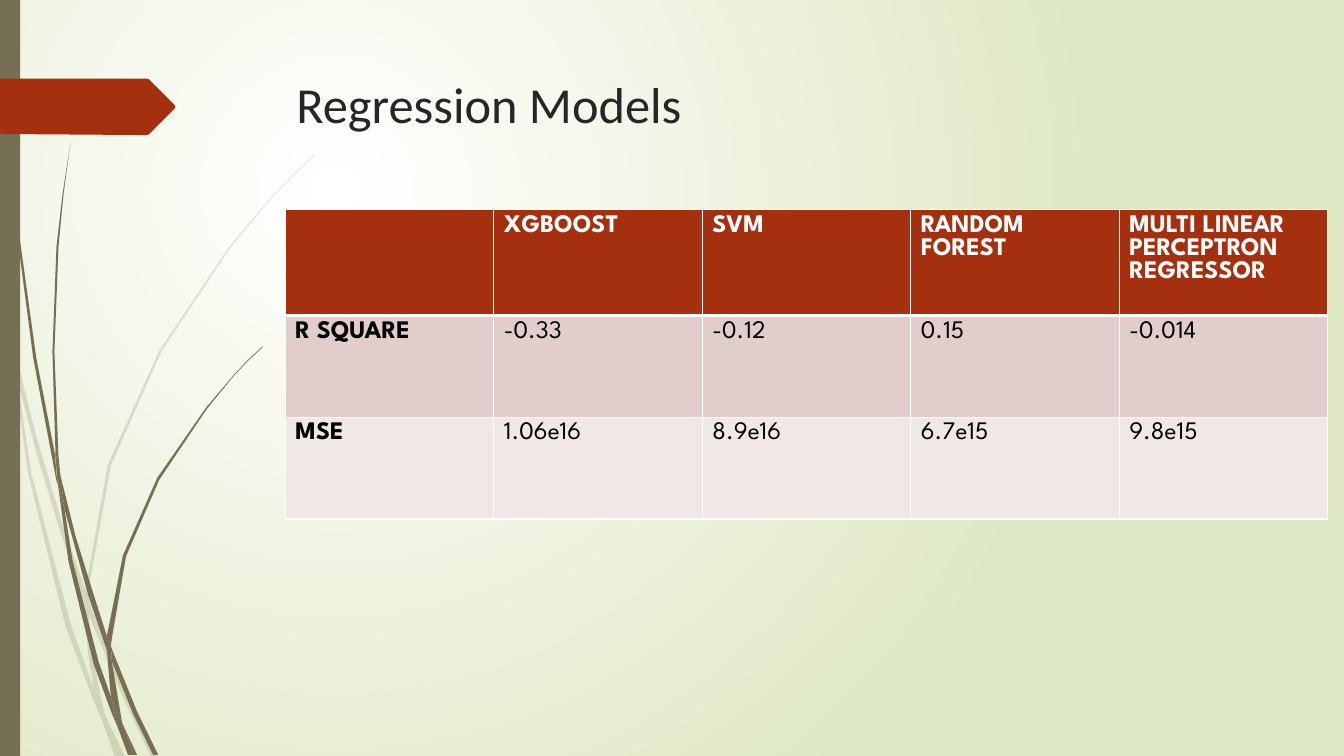
import lxml.etree
import pptx
import pptx.dml.color
import pptx.enum.shapes
import pptx.enum.text
import pptx.oxml.ns
import pptx.util

UNIT = 9144  # every length is counted on a grid of 0.01 inch
WIDTH, HEIGHT = 1333, 750
COLORS = {
    "stem": "766F54", "accent": "A53010", "title": "262626",
    "white": "FFFFFF", "meadow": "DFE8C4", "black": "000000",
    "band_dark": "E1CDCC", "band_light": "F0E8E7",
}
MODELS = ["", "XGBOOST", "SVM", "RANDOM FOREST", "MULTI LINEAR PERCEPTRON REGRESSOR"]
SCORES = [
    ["R SQUARE", "-0.33", "-0.12", "0.15", "-0.014"],
    ["MSE", "1.06e16", "8.9e16", "6.7e15", "9.8e15"],
]
ROW_HEIGHTS = [105, 101, 101]
ROW_FILLS = ["accent", "band_dark", "band_light"]

PALE_GRASS = [
    [(11, 350), (9, 322), (0, 282), (0, 299), (10, 344)],
    [(58, 522), (84, 599), (85, 586), (62, 520), (36, 433), (14, 345), (17, 376), (36, 449)],
    [(92, 607), (88, 596), (88, 610), (123, 694), (150, 751), (155, 751), (127, 692)],
    [(119, 751), (124, 751), (105, 711)],
    [(93, 683), (70, 619), (31, 469), (17, 376), (11, 350), (28, 470), (65, 621),
     (92, 693), (101, 714), (99, 707)],
    [(84, 599), (87, 646), (93, 683), (96, 692), (105, 711), (103, 706), (91, 646),
     (88, 610), (88, 608)],
    [(88, 584), (110, 462), (160, 349), (229, 245), (268, 198), (290, 175), (312, 154),
     (312, 153), (289, 175), (268, 197), (228, 244), (158, 348), (107, 461), (85, 584),
     (85, 586), (88, 596)],
    [(101, 714), (114, 751), (119, 751)],
    [(88, 608), (88, 610), (88, 596), (85, 586), (84, 599)],
    [(96, 692), (93, 683), (99, 707), (101, 714), (119, 751), (105, 711)],
]
DARK_GRASS = [
    [(7, 110), (17, 233), (33, 355), (56, 477), (57, 481), (55, 457), (55, 453),
     (36, 355), (19, 232), (8, 109), (5, 48), (4, 0), (3, 0), (4, 48)],
    [(88, 592), (106, 645), (106, 633), (106, 631), (93, 590), (75, 532), (60, 472), (64, 505)],
    [(113, 649), (110, 641), (111, 656), (132, 708), (152, 749), (157, 749), (136, 706)],
    [(110, 691), (98, 657), (72, 556), (64, 505), (57, 477), (68, 557), (93, 659),
     (111, 708), (117, 722), (116, 717)],
    [(60, 472), (58, 453), (54, 349), (58, 245), (63, 193), (70, 141), (62, 193),
     (56, 245), (52, 349), (55, 449)],
    [(133, 749), (136, 749), (122, 719)],
    [(57, 477), (64, 505), (60, 472), (55, 449), (55, 453)],
    [(111, 633), (125, 552), (158, 476), (205, 406), (231, 374), (245, 359), (261, 344),
     (260, 344), (245, 358), (231, 373), (204, 405), (156, 474), (122, 551), (106, 631),
     (110, 641)],
    [(117, 722), (127, 749), (131, 749)],
    [(106, 645), (110, 691), (116, 706), (122, 719), (121, 716), (111, 656), (109, 651)],
    [(106, 645), (109, 651), (111, 656), (110, 641), (106, 631), (106, 633)],
    [(116, 706), (110, 691), (116, 717), (117, 722), (130, 749), (133, 749), (122, 719)],
]
PAGE_MARKER = [(173, 108), (148, 133), (146, 134), (136, 134), (0, 133), (0, 78),
               (146, 78), (148, 79), (173, 104), (174, 106)]


def rgb(name):
    """Return a named colour as an RGBColor."""
    return pptx.dml.color.RGBColor.from_string(COLORS[name])


def add_element(parent, tag, **attributes):
    """Append a DrawingML element to parent and return it."""
    return lxml.etree.SubElement(parent, pptx.oxml.ns.qn("a:" + tag), attributes)


def apply_format(target, values):
    """Set each attribute named in values on target."""
    for name, value in values.items():
        setattr(target, name, value)


def set_box(shape, left, top, width, height):
    """Place a shape by grid units."""
    box = {"left": left, "top": top, "width": width, "height": height}
    apply_format(shape, {side: length * UNIT for side, length in box.items()})


def paint(shape, color, opacity=100):
    """Give a shape a flat fill, without line or shadow."""
    shape.shadow.inherit = False
    shape.line.fill.background()
    shape.fill.solid()
    shape.fill.fore_color.rgb = rgb(color)
    if opacity < 100:
        for element in shape.fill._xPr.iter(pptx.oxml.ns.qn("a:srgbClr")):
            add_element(element, "alpha", val=str(opacity * 1000))


def set_background(slide):
    """Fill the background with a round glow centred in the upper left quarter."""
    fill = slide.background.fill
    fill.gradient()
    for stop, color, position in zip(fill.gradient_stops, ("white", "meadow"), (0, 1)):
        stop.color.rgb = rgb(color)
        stop.position = position
    gradient = slide.background._cSld.find(".//" + pptx.oxml.ns.qn("a:gradFill"))
    gradient.remove(gradient.find(pptx.oxml.ns.qn("a:lin")))
    glow = add_element(gradient, "path", path="circle")
    add_element(glow, "fillToRect", l="50000", t="50000", r="100000", b="100000")


def add_outline(shapes, points, color, opacity=100):
    """Draw a closed outline through grid points."""
    builder = shapes.build_freeform(*points[0], scale=UNIT)
    builder.add_line_segments(points[1:], close=True)
    paint(builder.convert_to_shape(), color, opacity)


def add_grass(slide, blades, opacity):
    """Draw a group of grass blades."""
    group = slide.shapes.add_group_shape()
    for blade in blades:
        add_outline(group.shapes, blade, "stem", opacity)


def add_side_bar(slide):
    """Draw the bar along the left edge."""
    bar = slide.shapes.add_shape(pptx.enum.shapes.MSO_SHAPE.RECTANGLE, 0, 0, 0, 0)
    set_box(bar, 0, 0, 20, HEIGHT)
    paint(bar, "stem")


def write_text(frame, text, color, **font_values):
    """Write one left-aligned paragraph with the given font."""
    frame.text = text
    paragraph = frame.paragraphs[0]
    paragraph.alignment = pptx.enum.text.PP_ALIGN.LEFT
    apply_format(paragraph.font, font_values)
    paragraph.font.color.rgb = rgb(color)
    for run in paragraph.runs:
        apply_format(run.font, font_values)
        run.font.color.rgb = rgb(color)


def add_title(slide, text):
    """Fill and place the title placeholder."""
    title = slide.shapes.title
    set_box(title, 284, 68, 975, 140)
    write_text(title.text_frame, text, "title", name="Calibri", size=pptx.util.Pt(36))
    title.text_frame.vertical_anchor = pptx.enum.text.MSO_ANCHOR.TOP


def set_borders(cell, widths):
    """Draw white cell borders; widths maps each side to points."""
    properties = cell._tc.get_or_add_tcPr()
    for index, (side, width) in enumerate(widths.items()):
        line = add_element(properties, "ln" + side, w=str(pptx.util.Pt(width)))
        add_element(add_element(line, "solidFill"), "srgbClr", val=COLORS["white"])
        properties.insert(index, line)


def add_score_table(slide):
    """Add the table of scores by model."""
    rows = [MODELS] + SCORES
    frame = slide.shapes.add_table(len(rows), len(MODELS), 0, 0, 0, 0)
    set_box(frame, 283, 208, 1034, sum(ROW_HEIGHTS))
    table = frame.table
    table.horz_banding = False
    for column in table.columns:
        column.width = 1034 * UNIT // len(MODELS)
    for row_index, texts in enumerate(rows):
        table.rows[row_index].height = ROW_HEIGHTS[row_index] * UNIT
        header = row_index == 0
        widths = {"L": 1, "R": 1, "T": 3 if row_index == 1 else 1, "B": 3 if header else 1}
        for column_index, text in enumerate(texts):
            cell = table.cell(row_index, column_index)
            cell.fill.solid()
            cell.fill.fore_color.rgb = rgb(ROW_FILLS[row_index])
            set_borders(cell, widths)
            write_text(cell.text_frame, text, "white" if header else "black",
                       name="League Spartan", size=pptx.util.Pt(18),
                       bold=header or column_index == 0)


def main():
    """Build and save the slide."""
    presentation = pptx.Presentation()
    apply_format(presentation, {"slide_width": WIDTH * UNIT, "slide_height": HEIGHT * UNIT})
    slide = presentation.slides.add_slide(presentation.slide_layouts[5])
    set_background(slide)
    add_grass(slide, PALE_GRASS, 20)
    add_grass(slide, DARK_GRASS, 100)
    add_side_bar(slide)
    add_outline(slide.shapes, PAGE_MARKER, "accent")
    add_title(slide, "Regression Models")
    add_score_table(slide)
    presentation.save("out.pptx")


main()
